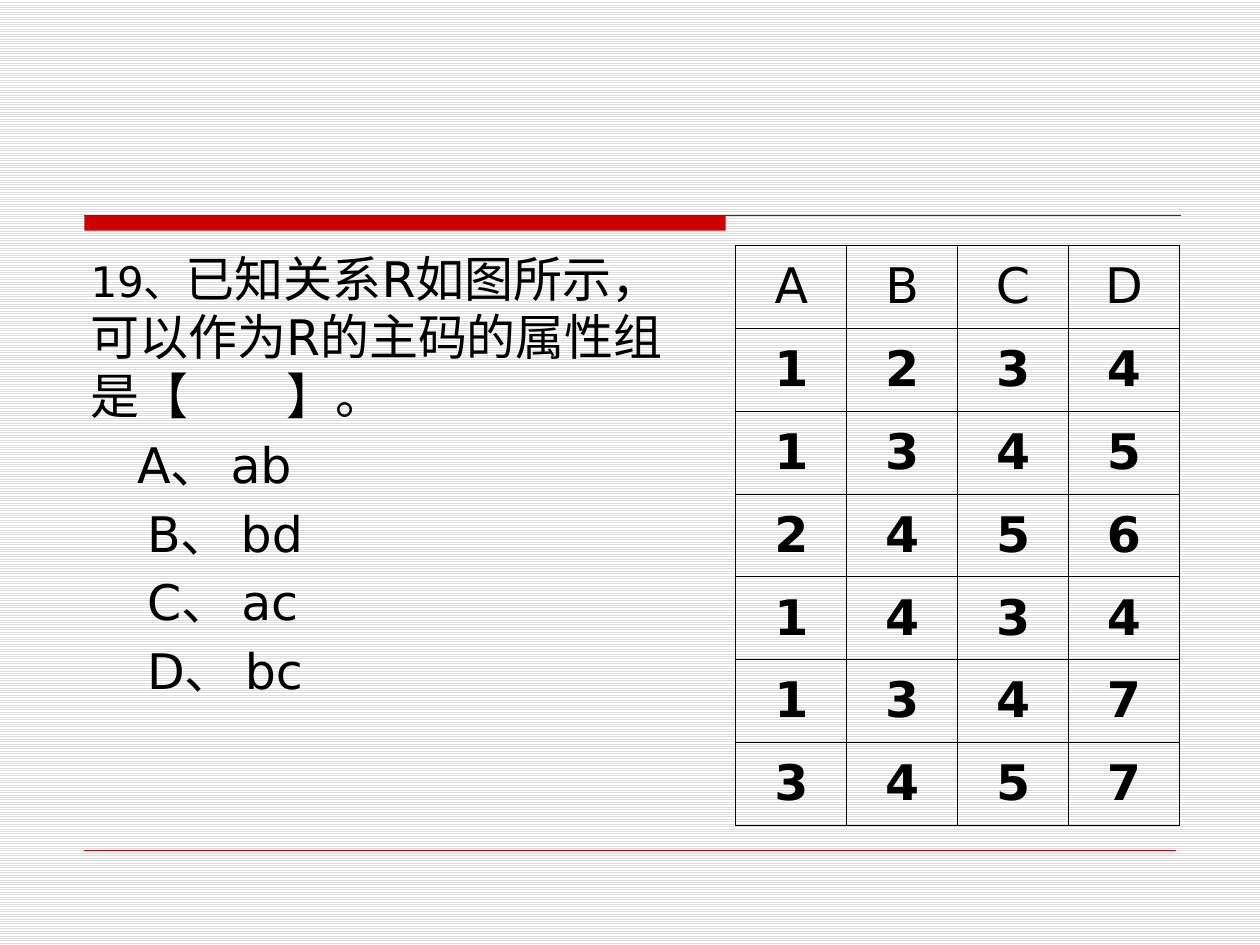
"""Build a quiz slide on choosing the primary key of relation R."""
from lxml.etree import SubElement
from pptx import Presentation
from pptx.dml.color import RGBColor
from pptx.enum.dml import MSO_PATTERN
from pptx.enum.shapes import MSO_CONNECTOR, MSO_SHAPE
from pptx.enum.text import MSO_ANCHOR, PP_ALIGN
from pptx.oxml.ns import qn
from pptx.util import Inches, Pt

COLORS = {"ink": "000000", "accent": "CC0000", "rule": "333333",
          "stripe": "DDDDDD", "paper": "FFFFFF"}
RELATION = ["ABCD", "1234", "1345", "2456", "1434", "1347", "3457"]
QUESTION = [("19、", 24), ("已知关系R如图所示，可以作为R的主码的属性组是【　　】。", 28)]
OPTIONS = [("A、 ab", 0.37), ("B、 bd", 0.45), ("C、 ac", 0.45), ("D、 bc", 0.45)]


def color(name):
    return RGBColor.from_string(COLORS[name])


def add_text(paragraph, text, size=28, bold=False):
    run = paragraph.add_run()
    run.text = text
    font_format = {"name": "DejaVu Sans", "size": Pt(size), "bold": bold}
    for attribute, value in font_format.items():
        setattr(run.font, attribute, value)
    run.font.color.rgb = color("ink")


prs = Presentation()
prs.slide_width, prs.slide_height = Inches(10), Inches(7.5)
slide = prs.slides.add_slide(prs.slide_layouts[6])
backdrop = slide.background.fill
backdrop.patterned()
backdrop.pattern = MSO_PATTERN.LIGHT_HORIZONTAL
backdrop.fore_color.rgb = color("stripe")
backdrop.back_color.rgb = color("paper")

for right, y, tone, width in [(9.37, 1.71, "rule", 0.75), (9.33, 6.75, "accent", 0.25)]:
    rule = slide.shapes.add_connector(
        MSO_CONNECTOR.STRAIGHT, Inches(0.67), Inches(y), Inches(right), Inches(y))
    rule.line.color.rgb = color(tone)
    rule.line.width = Pt(width)
    SubElement(rule._element.spPr, qn("a:effectLst"))

title_bar = slide.shapes.add_shape(
    MSO_SHAPE.RECTANGLE, Inches(0.67), Inches(1.71), Inches(5.09), Inches(0.12))
title_bar.shadow.inherit = False
title_bar.fill.solid()
title_bar.fill.fore_color.rgb = color("accent")
title_bar.line.fill.background()

body = slide.shapes.add_textbox(
    Inches(0.62), Inches(1.92), Inches(4.95), Inches(4.67)).text_frame
body.word_wrap = True
question = body.paragraphs[0]
question.space_before = Pt(5.6)
for text, size in QUESTION:
    add_text(question, text, size)
for text, indent in OPTIONS:
    option = body.add_paragraph()
    option.space_before = Pt(5.6)
    option._p.get_or_add_pPr().set("marL", str(Inches(indent)))
    add_text(option, text)

relation = slide.shapes.add_table(
    len(RELATION), 4, Inches(5.84), Inches(1.95), Inches(3.52), Inches(4.6)).table
for flag, value in {"first_row": False, "horz_banding": False}.items():
    setattr(relation, flag, value)
for row_index, values in enumerate(RELATION):
    for column_index, value in enumerate(values):
        cell = relation.cell(row_index, column_index)
        cell.vertical_anchor = MSO_ANCHOR.MIDDLE
        heading = cell.text_frame.paragraphs[0]
        heading.alignment = PP_ALIGN.CENTER
        add_text(heading, value, bold=row_index > 0)
        properties = cell._tc.get_or_add_tcPr()
        for side in ("lnL", "lnR", "lnT", "lnB"):
            border = SubElement(properties, qn(f"a:{side}"), w=str(Pt(0.75)))
            ink = SubElement(border, qn("a:solidFill"))
            SubElement(ink, qn("a:srgbClr"), val=COLORS["ink"])
        cell.fill.background()

prs.save("out.pptx")
